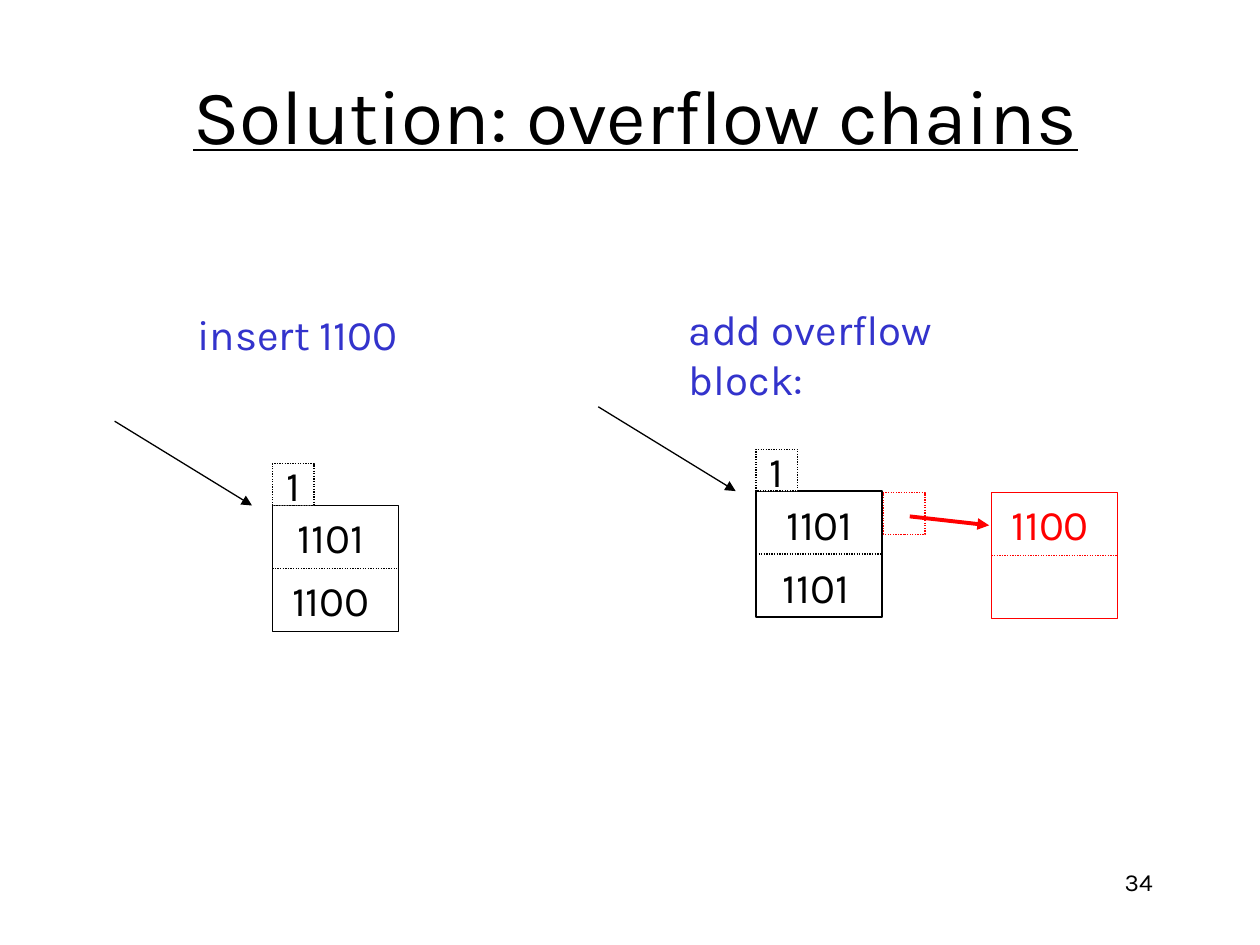
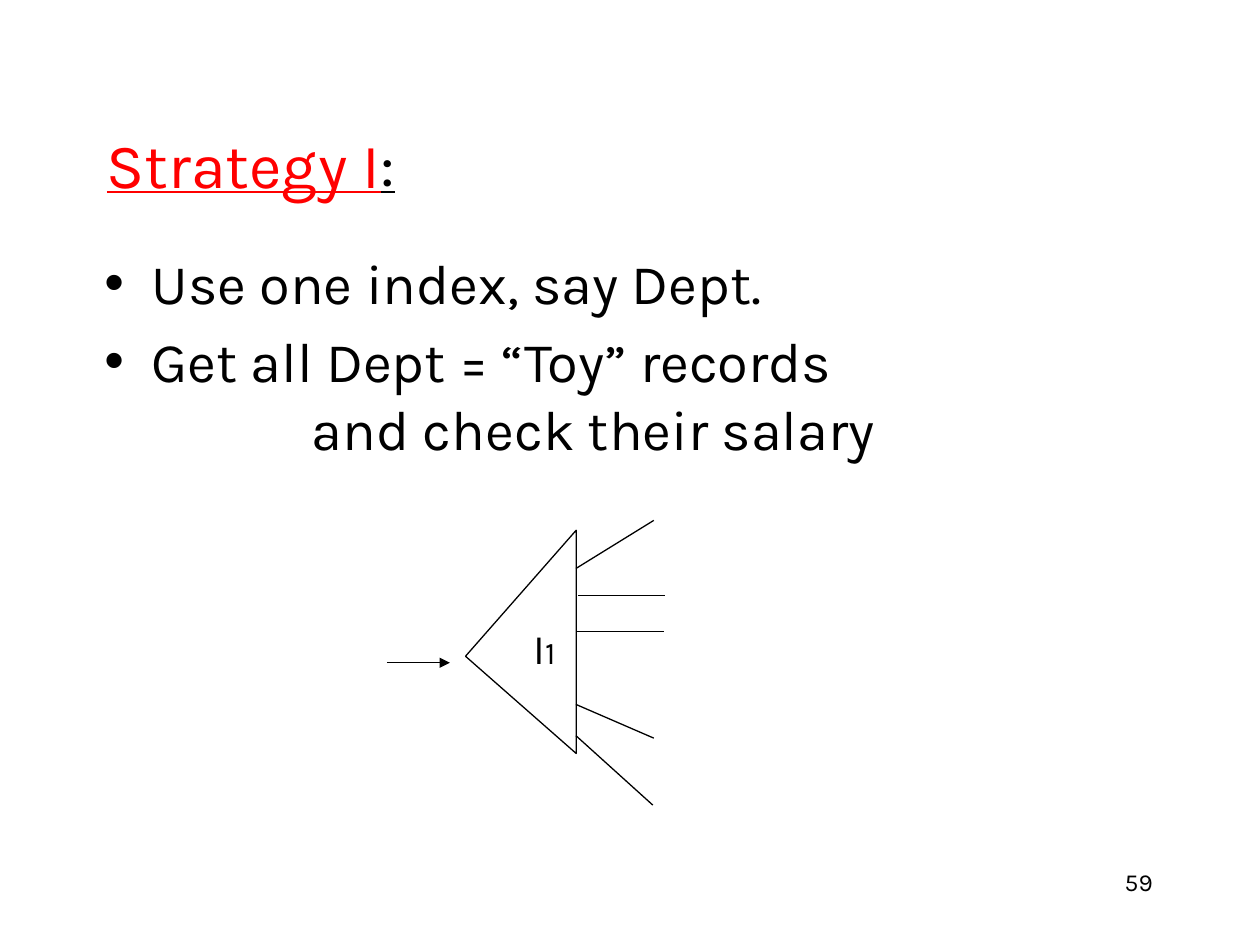
from pptx import Presentation
from pptx.dml.color import RGBColor
from pptx.enum.dml import MSO_LINE
from pptx.enum.shapes import MSO_CONNECTOR, MSO_SHAPE
from pptx.enum.text import MSO_ANCHOR, MSO_AUTO_SIZE, PP_ALIGN
from pptx.oxml.ns import qn
from pptx.util import Cm, Pt
from lxml import etree

RECT, WEDGE = MSO_SHAPE.RECTANGLE, MSO_SHAPE.RIGHT_TRIANGLE
LINE, DOTS = MSO_CONNECTOR.STRAIGHT, MSO_LINE.ROUND_DOT
LEFT, MID, RIGHT = PP_ALIGN.LEFT, PP_ALIGN.CENTER, PP_ALIGN.RIGHT
TOP, CENTER = MSO_ANCHOR.TOP, MSO_ANCHOR.MIDDLE

# Shared look
FONT = "Karla"
BLACK, WHITE, RED, BLUE = "000000", "FFFFFF", "FF0000", "3333CC"
THIN, THICK = 0.75, 2.25
PAGE = (18.21, 17.35, 5.28, 1.27)

# Content, lengths in cm; a run is (text, size, colour)
CHAIN = {
    "title": [("Solution: overflow chains", 44, BLACK)],
    "place": (1.65, 0.71, 22.33, 3.18), "align": MID, "page": "34",
}
PLAN = {
    "title": [("Strategy I", 36, RED), (":", 36, BLACK)],
    "place": (1.9, 1.7, 21.59, 3.18), "align": LEFT, "page": "59",
}
NOTES = [
    ("insert 1100", (3.73, 6.1, 4.7, 1.27)),
    ("add overflow block:", (13.64, 5.99, 7.4, 1.27)),
]
SIDE, CHIP = 2.54, 0.84
ROW = SIDE / 2
# Each bucket: corner, colour, key, and values with their nudge
BLOCKS = [
    ((5.49, 10.19), BLACK, "1", [("1101", 0, 0), ("1100", 0, 0)]),
    ((15.24, 9.9), BLACK, "1", [("1101", 0.1, 0.03), ("1101", 0.03, 0.03)]),
    ((19.99, 9.93), RED, None, [("1100", 0, 0)]),
]
POINTER = ((17.81, 9.93), (18.34, 10.41), (19.94, 10.59))

STEPS = ["Use one index, say Dept.", "Get all Dept = “Toy” records"]
MORE = "and check their salary"
BODY = (1.85, 4.88, 21.59, 5.33)
INDEX = (10.13, 11.25, 2.97, 3.38)
NAME = (10.39, 12.42, 1.17, 1.27)
ENTRY = ((7.8, 13.36), (9.07, 13.36))
FAN = [
    ((11.61, 11.46), (13.18, 10.49)),
    ((11.66, 12.01), (13.41, 12.01)),
    ((11.63, 12.73), (13.39, 12.73)),
    ((11.61, 14.2), (13.18, 14.88)),
    ((11.61, 14.83), (13.16, 16.23)),
]


def color(code):
    return RGBColor.from_string(code)


def cms(nums):
    return [Cm(n) for n in nums]


def put(item, form):
    for key, val in form.items():
        setattr(item, key, val)


def move(item, place):
    put(item, dict(zip(("left", "top", "width", "height"), cms(place))))


def write(para, runs, align=LEFT, under=None):
    para.alignment = align
    for text, size, code in runs:
        run = para.add_run()
        run.text = text
        put(run.font, {"name": FONT, "size": Pt(size), "underline": under})
        run.font.color.rgb = color(code)


def label(slide, place, runs, align=MID, anchor=CENTER):
    frame = slide.shapes.add_textbox(*cms(place)).text_frame
    put(frame, {"word_wrap": True, "vertical_anchor": anchor})
    write(frame.paragraphs[0], runs, align)


def stroke(line, code, dash=None, width=THIN):
    line.color.rgb = color(code)
    put(line, {"width": Pt(width), "dash_style": dash})


def box(slide, place, code, dash=None, kind=RECT):
    item = slide.shapes.add_shape(kind, *cms(place))
    item.shadow.inherit = False
    item.fill.solid()
    item.fill.fore_color.rgb = color(WHITE)
    stroke(item.line, code, dash)
    return item


def link(slide, start, end, code=BLACK, dash=None, width=THIN, head=False):
    item = slide.shapes.add_connector(LINE, *cms(start + end))
    stroke(item.line, code, dash, width)
    if head:
        etree.SubElement(item.line._get_or_add_ln(), qn("a:tailEnd"), type="triangle")
    etree.SubElement(item._element.spPr, qn("a:effectLst"))
    return item


def start(deck, data, layout):
    slide = deck.slides.add_slide(deck.slide_layouts[layout])
    title = slide.shapes.title
    move(title, data["place"])
    put(title.text_frame, {"vertical_anchor": CENTER, "auto_size": MSO_AUTO_SIZE.NONE})
    write(title.text_frame.paragraphs[0], data["title"], data["align"], True)
    label(slide, PAGE, [(data["page"], 14, BLACK)], RIGHT, TOP)
    return slide


def bucket(slide, spot, code, key, vals):
    x, y = spot
    cell = box(slide, (x, y, SIDE, SIDE), code)
    rule = link(slide, (x, y + ROW), (x + SIDE, y + ROW), code, DOTS)
    rule.begin_connect(cell, 1)
    rule.end_connect(cell, 3)
    if key:
        frame = box(slide, (x, y - CHIP, CHIP, CHIP), code, DOTS).text_frame
        put(frame, {"word_wrap": False, "vertical_anchor": CENTER})
        write(frame.paragraphs[0], [(key, 24, code)], MID)
        link(slide, (x - 3.18, y - 1.7), (x - 0.41, y), head=True)
    for row, (text, dx, dy) in enumerate(vals):
        label(slide, (x + dx, y + row * ROW + dy, 2.36, ROW), [(text, 24, code)])


def chain(deck):
    slide = start(deck, CHAIN, 5)
    for text, place in NOTES:
        label(slide, place, [(text, 24, BLUE)], LEFT, TOP)
    for block in BLOCKS:
        bucket(slide, *block)
    # Overflow pointer
    spot, tail, tip = POINTER
    box(slide, spot + (CHIP, CHIP), RED, DOTS)
    link(slide, tail, tip, RED, width=THICK, head=True)


def plan(deck):
    slide = start(deck, PLAN, 1)
    # Steps, the last one continued on an indented line
    body = slide.placeholders[1]
    move(body, BODY)
    frame = body.text_frame
    frame.auto_size = MSO_AUTO_SIZE.NONE
    for num, text in enumerate(STEPS + [MORE]):
        para = frame.add_paragraph() if num else frame.paragraphs[0]
        write(para, [(text, 32, BLACK)])
    para.space_before = Pt(0)
    props = para._p.get_or_add_pPr()
    put_off = {"marL": Cm(4.18), "indent": 0}
    for key, val in put_off.items():
        props.set(key, str(val))
    etree.SubElement(props, qn("a:buNone"))
    # Index with its entry and record links
    box(slide, INDEX, BLACK, kind=WEDGE).rotation = 41.3
    label(slide, NAME, [("I", 24, BLACK), ("1", 18, BLACK)])
    link(slide, *ENTRY, head=True)
    for ends in FAN:
        link(slide, *ends)


def main():
    deck = Presentation()
    put(deck, {"slide_width": Cm(25.4), "slide_height": Cm(19.05)})
    chain(deck)
    plan(deck)
    deck.save("out.pptx")


if __name__ == "__main__":
    main()
